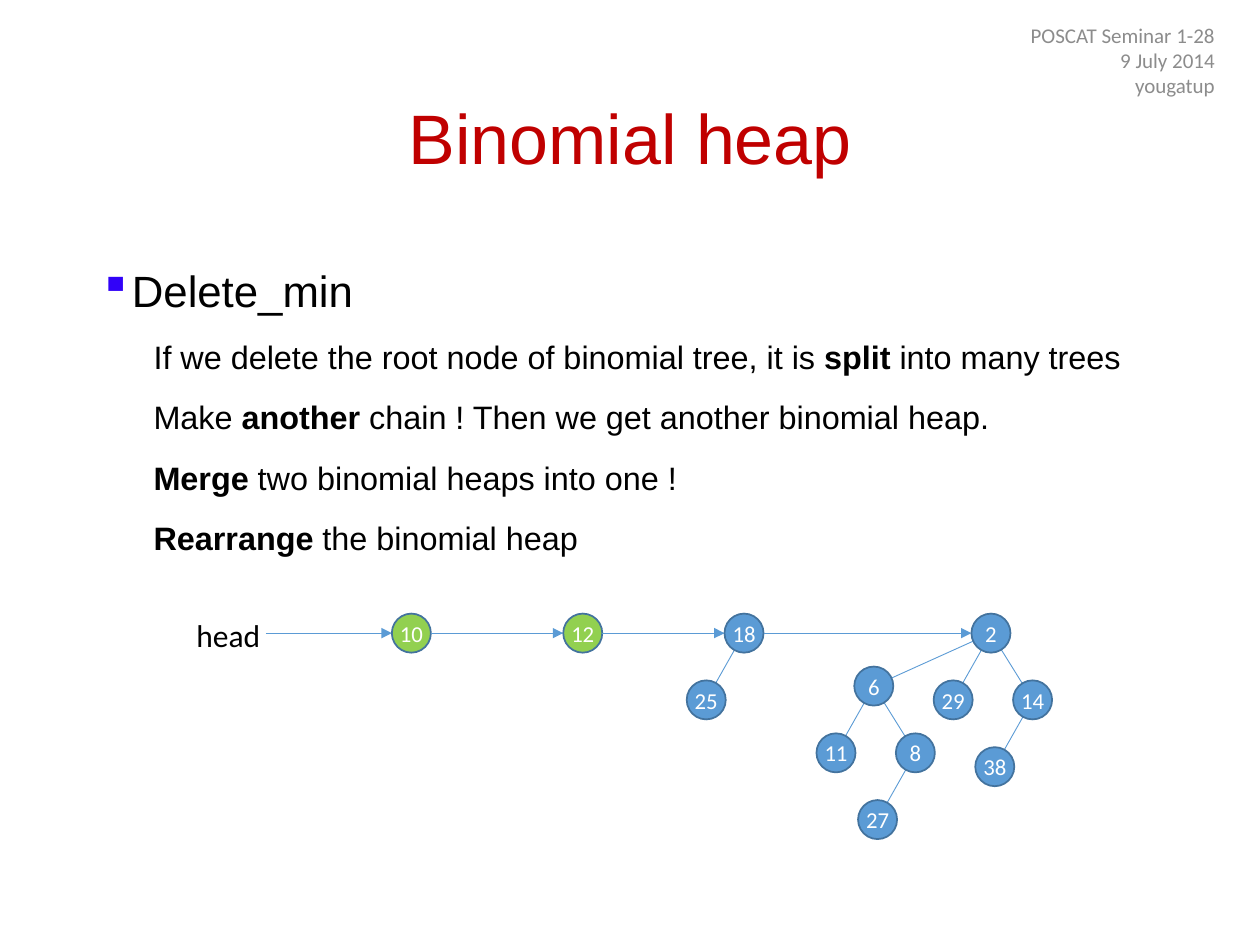
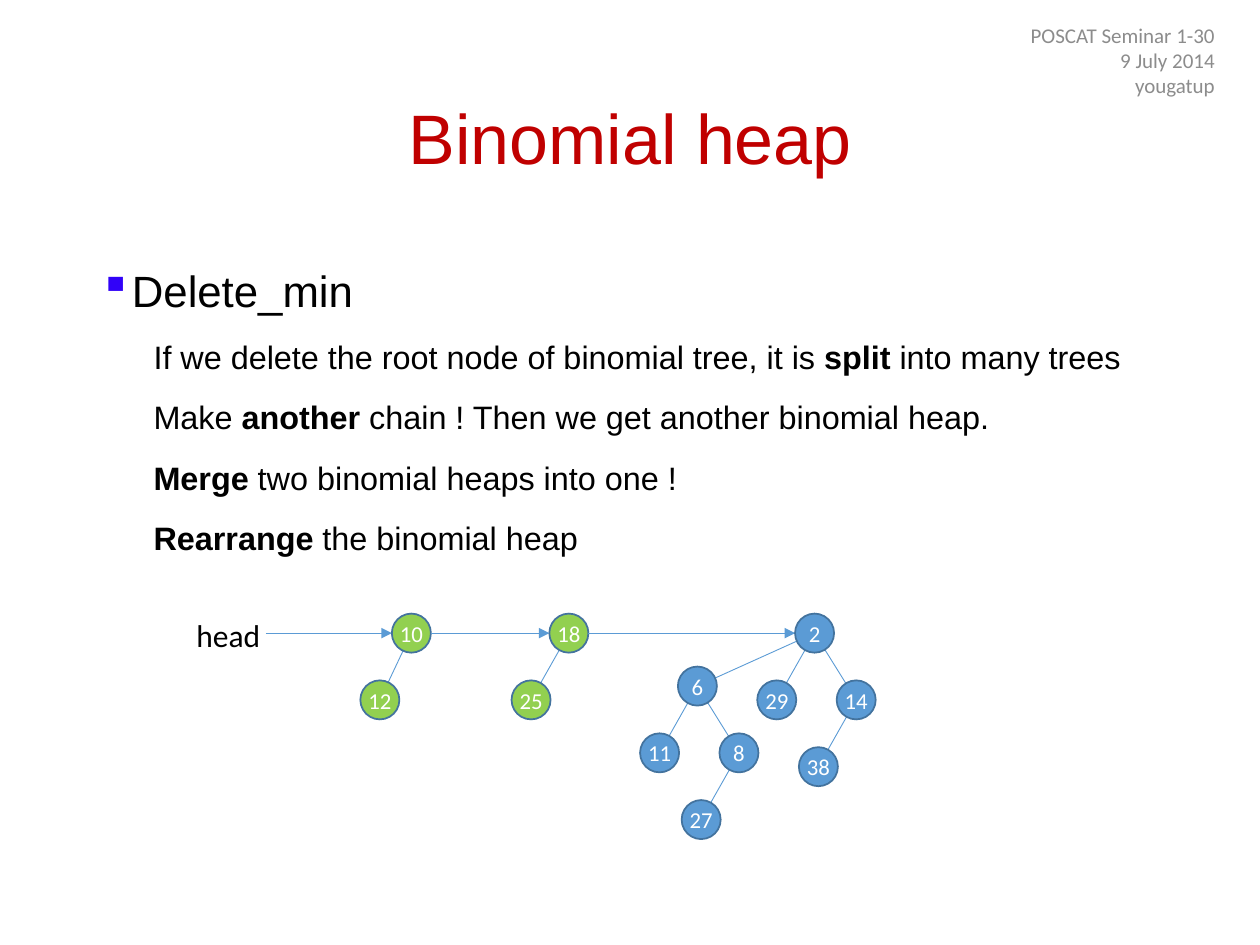
from collections import namedtuple
from dataclasses import dataclass

from lxml import etree
from pptx import Presentation
from pptx.dml.color import RGBColor
from pptx.enum.shapes import MSO_CONNECTOR as Connector, MSO_SHAPE as Preset
from pptx.enum.text import MSO_ANCHOR as Anchor, PP_ALIGN as Align
from pptx.oxml.ns import qn
from pptx.util import Inches, Pt

# Grid of 100 columns by 75 rows; all lengths below are in its cells
COLUMNS, ROWS = 100, 75
CELL = Inches(0.1)

Box = namedtuple("Box", "left top width height")
Node = namedtuple("Node", "value children")  # children: list of (step name, Node)
Tree = namedtuple("Tree", "column fill root")


@dataclass(frozen=True)
class Theme:
    heading: str = "Arial"
    label: str = "Calibri"
    title: str = "C00000"
    ink: str = "000000"
    bullet: str = "3102F8"
    header: str = "8C8C8C"
    white: str = "FFFFFF"
    settled: str = "92D050"
    pending: str = "5B9BD5"
    outline: str = "43739E"
    title_size: float = 40
    topic_size: float = 25
    step_size: float = 18.5
    head_size: float = 18
    node_size: float = 13
    header_size: float = 12


THEME = Theme()

TITLE_BOX = Box(6.9, 4, 86.2, 14.5)
BODY_BOX = Box(6.9, 20, 90.5, 47.6)
HEADER_BOX = Box(74.9, 2, 22.5, 5.5)
HEAP_BOX = Box(14.6, 48.7, 69, 18)

# Circle size, and the shift from a parent to each kind of child
DIAMETER = 3.1
STEPS = {"far": (-9.3, 4.2), "left": (-3, 5.3), "slim": (-2.5, 5.3), "right": (3.3, 5.3)}

# Each step of the method, as (text, bold) spans
METHOD = [
    [("If we delete the root node of binomial tree, it is ", False), ("split", True),
     (" into many trees", False)],
    [("Make ", False), ("another", True),
     (" chain ! Then we get another binomial heap.", False)],
    [("Merge", True), (" two binomial heaps into one !", False)],
    [("Rearrange", True), (" the binomial heap", False)],
]


def cells(*counts):
    return [round(count * CELL) for count in counts]


def color(code):
    return RGBColor.from_string(code)


def apply(target, formats):
    for name, value in formats.items():
        setattr(target, name, value)


def add_span(para, text, font, size, code, bold=False):
    span = para.add_run()
    span.text = text
    apply(span.font, {"name": font, "size": Pt(size), "bold": bold})
    span.font.color.rgb = color(code)


def add_frame(page, box, **formats):
    frame = page.shapes.add_textbox(*cells(*box)).text_frame
    apply(frame, {"word_wrap": True, **formats})
    return frame


def next_para(frame, index, **formats):
    para = frame.add_paragraph() if index else frame.paragraphs[0]
    apply(para, formats)
    return para


def set_indent(para, left, first=0, bullet=None):
    props = para._p.get_or_add_pPr()
    for name, value in {"marL": left, "indent": first}.items():
        props.set(name, str(Inches(value)))
    if bullet:
        tint = etree.SubElement(props, qn("a:buClr"))
        etree.SubElement(tint, qn("a:srgbClr"), val=THEME.bullet)
        etree.SubElement(props, qn("a:buChar"), char=bullet)


# Text regions
def draw_title(page, box, text):
    frame = add_frame(page, box, vertical_anchor=Anchor.MIDDLE)
    para = next_para(frame, 0, alignment=Align.CENTER, line_spacing=0.9)
    add_span(para, text, THEME.heading, THEME.title_size, THEME.title)


def draw_header(page, box, number):
    frame = add_frame(page, box, vertical_anchor=Anchor.MIDDLE)
    lines = [f"POSCAT Seminar 1-{number}", "9 July 2014", "yougatup"]
    for index, line in enumerate(lines):
        para = next_para(frame, index, alignment=Align.RIGHT)
        add_span(para, line, THEME.label, THEME.header_size, THEME.header)


def draw_body(page, box, topic, method):
    frame = add_frame(page, box)
    spacing = {"line_spacing": 1.1, "space_before": Pt(10)}
    para = next_para(frame, 0, **spacing)
    set_indent(para, 0.25, -0.25, "▪")
    add_span(para, topic, THEME.heading, THEME.topic_size, THEME.ink)
    for index, spans in enumerate(method, 1):
        para = next_para(frame, index, **spacing)
        set_indent(para, 0.43)
        for text, bold in spans:
            add_span(para, text, THEME.heading, THEME.step_size, THEME.ink, bold)


# Heap diagram
def draw_link(page, start, end, arrow=False):
    link = page.shapes.add_connector(Connector.STRAIGHT, *cells(*start, *end))
    link.line.color.rgb = color(THEME.pending)
    link.line.width = Pt(0.5)
    if arrow:
        etree.SubElement(link.line._get_or_add_ln(), qn("a:tailEnd"), type="triangle")
    etree.SubElement(link._element.spPr, qn("a:effectLst"))


def draw_node(page, center, value, fill):
    left, top = (place - DIAMETER / 2 for place in center)
    circle = page.shapes.add_shape(Preset.OVAL, *cells(left, top, DIAMETER, DIAMETER))
    circle.shadow.inherit = False
    circle.fill.solid()
    circle.fill.fore_color.rgb = color(fill)
    circle.line.color.rgb = color(THEME.outline)
    circle.line.width = Pt(1)
    frame = circle.text_frame
    sides = ("margin_left", "margin_right", "margin_top", "margin_bottom")
    apply(frame, {**dict.fromkeys(sides, 0), "word_wrap": False,
                  "vertical_anchor": Anchor.MIDDLE})
    para = next_para(frame, 0, alignment=Align.CENTER)
    add_span(para, str(value), THEME.label, THEME.node_size, THEME.white)


def draw_tree(page, center, node, fill):
    for step, child in node.children:
        target = [place + shift for place, shift in zip(center, STEPS[step])]
        draw_link(page, center, target)
        draw_tree(page, target, child, fill)
    draw_node(page, center, node.value, fill)


def draw_heap(page, box, trees):
    label = Box(box.left, box.top - 0.3, 7.2, 4)
    frame = add_frame(page, label, word_wrap=False)
    add_span(next_para(frame, 0), "head", THEME.label, THEME.head_size, THEME.ink)

    # The root chain runs along one level, from the label to the last tree
    level = box.top + DIAMETER / 2
    chain_end = box.left + 6.5
    for tree in trees:
        left = box.left + tree.column
        draw_link(page, (chain_end, level), (left, level), arrow=True)
        draw_tree(page, (left + DIAMETER / 2, level), tree.root, tree.fill)
        chain_end = left + DIAMETER


def leaf(value):
    return Node(value, [])


def pair(value, child, step="left"):
    return Node(value, [(step, leaf(child))])


BIG_TREE = Node(2, [
    ("far", Node(6, [("left", leaf(11)), ("right", pair(8, 27))])),
    ("left", leaf(29)),
    ("right", pair(14, 38)),
])

# Seminar page number and the heap shown on it
HEAPS = {
    28: [Tree(16.5, THEME.settled, leaf(10)),
         Tree(30.1, THEME.settled, leaf(12)),
         Tree(42.9, THEME.pending, pair(18, 25)),
         Tree(62.5, THEME.pending, BIG_TREE)],
    30: [Tree(16.5, THEME.settled, pair(10, 12, "slim")),
         Tree(29, THEME.settled, pair(18, 25)),
         Tree(48.5, THEME.pending, BIG_TREE)],
}


def build_heap_page(deck, number, trees):
    page = deck.slides.add_slide(deck.slide_layouts[6])
    draw_title(page, TITLE_BOX, "Binomial heap")
    draw_body(page, BODY_BOX, "Delete_min", METHOD)
    draw_header(page, HEADER_BOX, number)
    draw_heap(page, HEAP_BOX, trees)


def main():
    deck = Presentation()
    deck.slide_width, deck.slide_height = cells(COLUMNS, ROWS)
    for number, trees in HEAPS.items():
        build_heap_page(deck, number, trees)
    deck.save("out.pptx")


if __name__ == "__main__":
    main()
